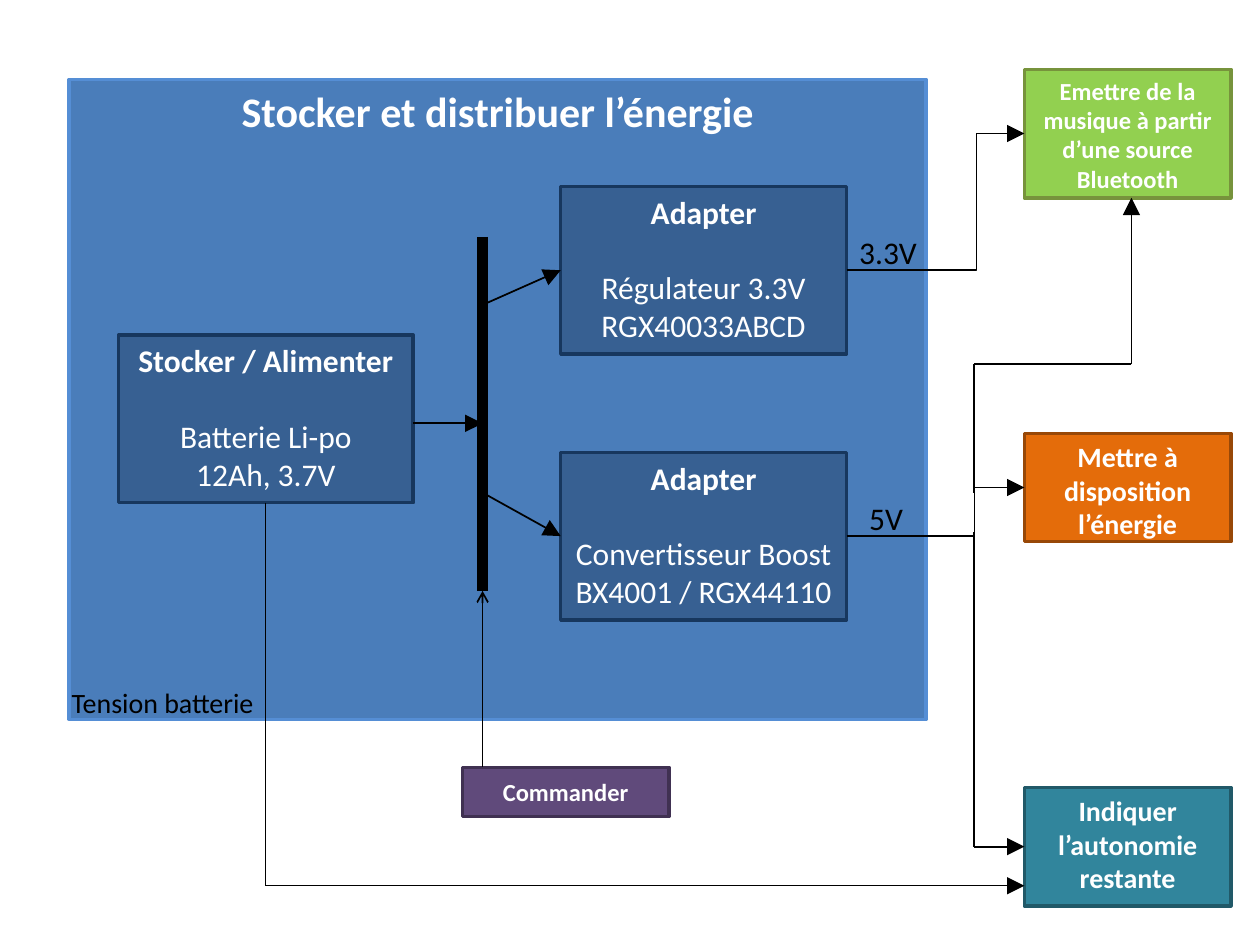
from pptx import Presentation
from pptx.dml.color import RGBColor
from pptx.enum.shapes import MSO_CONNECTOR, MSO_SHAPE
from pptx.enum.text import MSO_ANCHOR, MSO_AUTO_SIZE, PP_ALIGN
from pptx.oxml.ns import qn
from pptx.util import Inches, Pt
from lxml.etree import SubElement

TOP, LEFT, BOTTOM, RIGHT = range(4)
BATTERY_X, BAR_X, ADAPTER_X, BUS_X, TARGET_X = 0.94, 3.83, 4.45, 7.73, 8.13
BATTERY_W, ADAPTER_W, TARGET_W, CARD_H = 2.34, 2.27, 1.64, 1.33
REGULATOR_Y, BOOST_Y, BATTERY_Y = 1.48, 3.59, 2.66
BAR_TOP, BAR_BOTTOM, COMMAND_Y, BRANCH_Y, BATTERY_BUS_Y = 1.88, 4.69, 6.09, 2.89, 7.03
FEED_Y, MUSIC_X, MUSIC_BOTTOM = 3.36, 8.98, 1.57
NAVY = ("376092", "17375E")

BOXES = {
    "energy": ((0.55, 0.63, 6.8, 5.08), ("4A7DBA", "558ED5"), 24,
               ["Stocker et distribuer l’énergie"]),
    "battery": ((BATTERY_X, BATTERY_Y, BATTERY_W, CARD_H), NAVY, 18,
                ["Stocker / Alimenter", "Batterie Li-po", "12Ah, 3.7V"]),
    "music": ((TARGET_X, 0.55, TARGET_W, 1.02), ("92D050", "77933C"), 14,
              ["Emettre de la musique à partir d’une source Bluetooth"]),
    "supply": ((TARGET_X, 3.44, TARGET_W, 0.86), ("E46C0A", "984807"), 16,
               ["Mettre à disposition l’énergie"]),
    "autonomy": ((TARGET_X, 6.25, TARGET_W, 0.94), ("31859C", "215968"), 16,
                 ["Indiquer l’autonomie restante"]),
    "boost": ((ADAPTER_X, BOOST_Y, ADAPTER_W, CARD_H), NAVY, 18,
              ["Adapter", "Convertisseur Boost", "BX4001 / RGX44110"]),
    "regulator": ((ADAPTER_X, REGULATOR_Y, ADAPTER_W, CARD_H), NAVY, 18,
                  ["Adapter", "Régulateur 3.3V", "RGX40033ABCD"]),
    "command": ((3.67, COMMAND_Y, TARGET_W, 0.39), ("604A7B", "403152"), 14,
                ["Commander"]),
}

LABELS = [
    ("3.3V", 18, (6.72, 1.8, 0.78, 0.4)),
    ("5V", 18, (6.8, 3.91, 0.55, 0.4)),
    ("Tension batterie", 16, (0.47, 5.39, 1.95, 0.37)),
]


def side_point(box, side):
    x, y, w, h = BOXES[box][0]
    return [(x + w / 2, y), (x, y + h / 2), (x + w / 2, y + h), (x + w, y + h / 2)][side]


battery_mid_x = side_point("battery", BOTTOM)[0]
autonomy_y = side_point("autonomy", LEFT)[1]

LINKS = [
    ((BAR_X, BAR_TOP), (BAR_X, BAR_BOTTOM), 6, None, None),
    ((BATTERY_X + BATTERY_W, FEED_Y), (BAR_X, FEED_Y), 1, "triangle", None),
    ((BAR_X, 2.42), ("regulator", LEFT), 1, "triangle", None),
    ((BAR_X, 3.91), ("boost", LEFT), 1, "triangle", None),
    (("regulator", RIGHT), ("music", LEFT), 1, "triangle", 0.73),
    (("boost", RIGHT), ("supply", LEFT), 1, "triangle", 0.72),
    ((BUS_X, 4.22), (BUS_X, autonomy_y), 1, None, None),
    ((BUS_X, autonomy_y), ("autonomy", LEFT), 1, "triangle", None),
    ((BAR_X, COMMAND_Y), (BAR_X, BAR_BOTTOM), 1, "arrow", None),
    (("battery", BOTTOM), (battery_mid_x, BATTERY_BUS_Y), 0.75, None, None),
    ((battery_mid_x, BATTERY_BUS_Y), (TARGET_X, BATTERY_BUS_Y), 0.75, "triangle", None),
    ((MUSIC_X, BRANCH_Y), (MUSIC_X, MUSIC_BOTTOM), 0.75, "triangle", None),
    ((MUSIC_X, BRANCH_Y), (BUS_X, BRANCH_Y), 0.75, None, None),
    ((BUS_X, 3.91), (BUS_X, BRANCH_Y), 0.75, None, None),
]


def color(value):
    return RGBColor.from_string(value)


def add_run(paragraph, words, size, ink, bold=False):
    run = paragraph.add_run()
    run.text = words
    run.font.name = "Calibri"
    run.font.size = Pt(size)
    run.font.bold = bold
    run.font.color.rgb = color(ink)


def add_box(slide, place, fill_line, size, lines):
    box = slide.shapes.add_shape(MSO_SHAPE.RECTANGLE, *map(Inches, place))
    box.shadow.inherit = False
    box.fill.solid()
    box.fill.fore_color.rgb = color(fill_line[0])
    box.line.color.rgb = color(fill_line[1])
    box.line.width = Pt(2)
    frame = box.text_frame
    frame.word_wrap = True
    frame.vertical_anchor = MSO_ANCHOR.MIDDLE if lines == ["Commander"] else MSO_ANCHOR.TOP
    for index, words in enumerate(lines):
        paragraph = frame.paragraphs[0] if index == 0 else frame.add_paragraph()
        paragraph.alignment = PP_ALIGN.CENTER
        if index == 1:
            paragraph.space_before = Pt(size * 1.2)
        add_run(paragraph, words, size, "FFFFFF", index == 0)
    return box


def add_link(slide, boxes, start, end, width, head, bend):
    points = [side_point(*p) if isinstance(p[0], str) else p for p in (start, end)]
    kind = MSO_CONNECTOR.ELBOW if bend else MSO_CONNECTOR.STRAIGHT
    link = slide.shapes.add_connector(kind, *(Inches(v) for p in points for v in p))
    for point, join in ((start, link.begin_connect), (end, link.end_connect)):
        if isinstance(point[0], str):
            join(boxes[point[0]], point[1])
    link.line.color.rgb = color("000000")
    link.line.width = Pt(width)
    properties = link._element.spPr
    if head:
        size = "lg" if head == "triangle" else "med"
        SubElement(properties.find(qn("a:ln")), qn("a:tailEnd"), type=head, w=size, len=size)
    if bend:
        adjustments = properties.find(qn("a:prstGeom")).find(qn("a:avLst"))
        SubElement(adjustments, qn("a:gd"), name="adj1", fmla=f"val {round(bend * 100000)}")
    SubElement(properties, qn("a:effectLst"))


def add_label(slide, words, size, place):
    label = slide.shapes.add_textbox(*map(Inches, place))
    label.text_frame.word_wrap = True
    label.text_frame.auto_size = MSO_AUTO_SIZE.SHAPE_TO_FIT_TEXT
    add_run(label.text_frame.paragraphs[0], words, size, "000000")


def main():
    deck = Presentation()
    deck.slide_width, deck.slide_height = Inches(10), Inches(7.5)
    slide = deck.slides.add_slide(deck.slide_layouts[6])
    boxes = {name: add_box(slide, *box) for name, box in BOXES.items()}
    for link in LINKS:
        add_link(slide, boxes, *link)
    for label in LABELS:
        add_label(slide, *label)
    deck.save("out.pptx")


if __name__ == "__main__":
    main()
